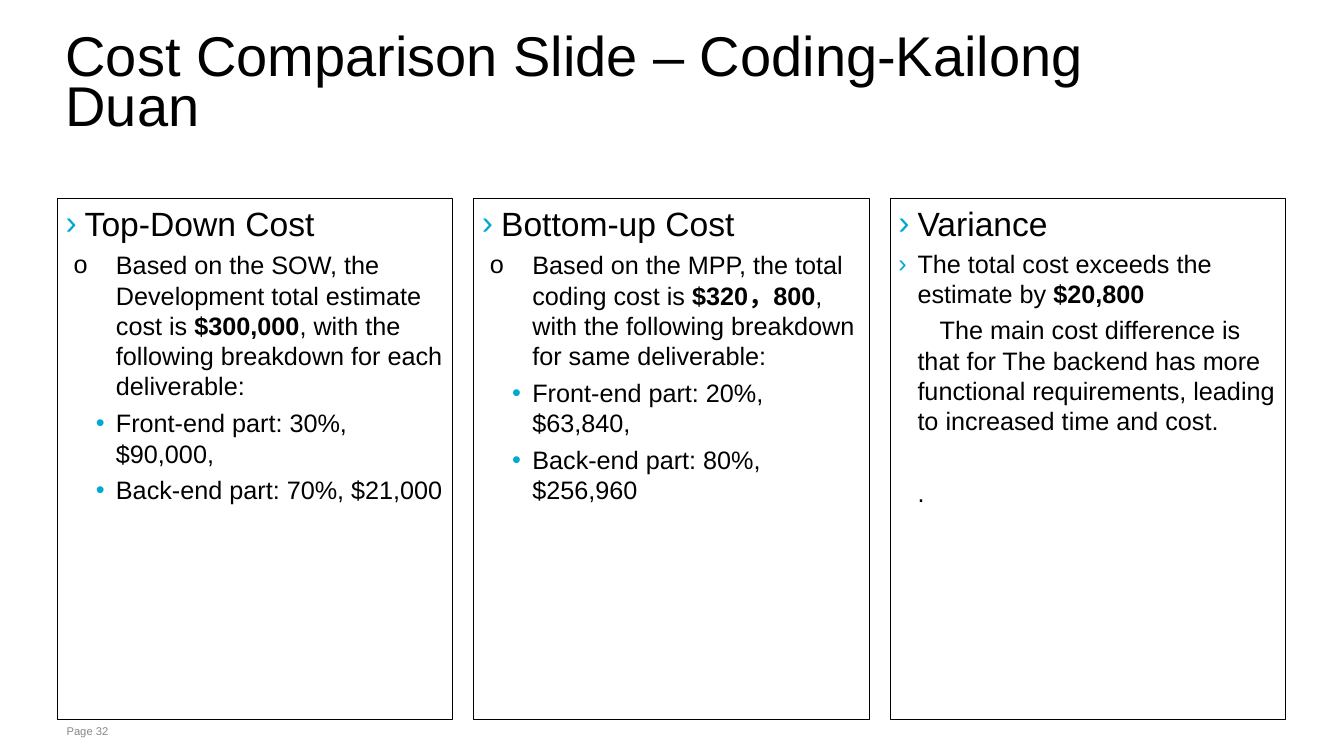
"""Build the cost comparison slide with three bordered columns."""
import pptx
import pptx.dml.color
import pptx.enum.text
import pptx.oxml.ns
import pptx.util
from lxml import etree

Inches = pptx.util.Inches
Pt = pptx.util.Pt

COLORS = {"text": "000000", "accent": "00A9D4", "page": "87888A"}
FONT = "Arial"
TITLE = "Cost Comparison Slide – Coding-Kailong Duan"
PAGE = "Page 32"

COLUMNS = [
    [
        ("heading", ["Top-Down Cost"]),
        ("summary", ["Based on the SOW, the Development total estimate cost is ", "$300,000",
                     ", with the following breakdown for each deliverable:"]),
        ("part", ["Front-end part: 30%, $90,000,"]),
        ("part", ["Back-end part: 70%, $21,000"]),
    ],
    [
        ("heading", ["Bottom-up Cost"]),
        ("summary", ["Based on the MPP, the total coding cost is", " $320，800",
                     ", with the following breakdown for same deliverable:"]),
        ("part", ["Front-end part: 20%, $63,840,"]),
        ("part", ["Back-end part: 80%, $256,960"]),
    ],
    [
        ("heading", ["Variance"]),
        ("point", ["The total cost exceeds the estimate by ", "$20,800"]),
        ("reason", ["The main cost difference is that for The backend has more functional "
                    "requirements, leading to increased time and cost."]),
        ("closing", ["."]),
    ],
]

STYLES = {
    "heading": {"level": 0, "size": 24, "margin": 0.19, "indent": -0.19, "bullet": "›",
                "bullet_color": "accent", "before": 0, "after": 0},
    "summary": {"level": 1, "size": 18, "margin": 0.58, "indent": -0.42, "bullet": "o",
                "bullet_color": "text", "before": 4.8, "after": 0},
    "part": {"level": 2, "size": 18, "margin": 0.58, "indent": -0.2, "bullet": "•",
             "bullet_color": "accent", "before": 4.8, "after": 0},
    "point": {"level": 0, "size": 18, "margin": 0.19, "indent": -0.19, "bullet": "›",
              "bullet_color": "accent", "before": 4, "after": 0},
    "reason": {"level": 0, "size": 18, "margin": 0.19, "indent": 0.22, "bullet": None,
               "before": 4, "after": 9},
    "closing": {"level": 0, "size": 18, "margin": 0.19, "indent": 0, "bullet": None,
                "before": 21, "after": 0},
}
STYLES["summary"]["margin"] = STYLES["part"]["margin"] = 0.5

COLUMN_LEFT, COLUMN_TOP, COLUMN_PITCH = 0.57, 1.97, 4.13
COLUMN_WIDTH, COLUMN_HEIGHT = 3.92, 5.17


def set_attributes(target, values):
    for name, value in values.items():
        setattr(target, name, value)


def place(shape, left, top, width, height):
    set_attributes(shape, {"left": Inches(left), "top": Inches(top),
                           "width": Inches(width), "height": Inches(height)})


def format_frame(frame, anchor, top=0, bottom=0):
    set_attributes(frame, {
        "word_wrap": True, "auto_size": pptx.enum.text.MSO_AUTO_SIZE.NONE,
        "vertical_anchor": anchor, "margin_left": Inches(0.08), "margin_right": Inches(0.08),
        "margin_top": Inches(top), "margin_bottom": Inches(bottom)})


def add_run(paragraph, text, size, color, bold=False):
    run = paragraph.add_run()
    run.text = text
    set_attributes(run.font, {"name": FONT, "size": Pt(size), "bold": bold})
    run.font.color.rgb = pptx.dml.color.RGBColor.from_string(COLORS[color])


def add_bullet(paragraph, style):
    properties = paragraph._p.get_or_add_pPr()
    properties.set("marL", str(Inches(style["margin"])))
    properties.set("indent", str(Inches(style["indent"])))
    qn = pptx.oxml.ns.qn
    if style["bullet"] is None:
        etree.SubElement(properties, qn("a:buNone"))
        return
    color = etree.SubElement(properties, qn("a:buClr"))
    etree.SubElement(color, qn("a:srgbClr"), val=COLORS[style["bullet_color"]])
    etree.SubElement(properties, qn("a:buFont"), typeface=FONT)
    etree.SubElement(properties, qn("a:buChar"), char=style["bullet"])


def fill_column(shape, content):
    format_frame(shape.text_frame, pptx.enum.text.MSO_ANCHOR.TOP, top=0.04)
    shape.line.color.rgb = pptx.dml.color.RGBColor.from_string(COLORS["text"])
    shape.line.width = Pt(0.75)
    for index, (kind, texts) in enumerate(content):
        style = STYLES[kind]
        frame = shape.text_frame
        paragraph = frame.add_paragraph() if index else frame.paragraphs[0]
        add_bullet(paragraph, style)
        set_attributes(paragraph, {
            "level": style["level"], "space_before": Pt(style["before"]),
            "space_after": Pt(style["after"]), "line_spacing": 1.0,
            "alignment": pptx.enum.text.PP_ALIGN.LEFT})
        for position, text in enumerate(texts):
            add_run(paragraph, text, style["size"], "text", bold=position == 1)


def main():
    presentation = pptx.Presentation()
    presentation.slide_width = Inches(13.33)
    presentation.slide_height = Inches(7.5)
    slide = presentation.slides.add_slide(presentation.slide_layouts.get_by_name("Comparison"))

    title = slide.shapes.title
    place(title, 0.57, 0.26, 10.93, 1.19)
    format_frame(title.text_frame, pptx.enum.text.MSO_ANCHOR.MIDDLE)
    heading = title.text_frame.paragraphs[0]
    set_attributes(heading, {"alignment": pptx.enum.text.PP_ALIGN.LEFT, "line_spacing": 0.75})
    add_run(heading, TITLE, 40, "text")

    bodies = [shape for shape in slide.placeholders if shape.placeholder_format.idx > 0]
    for index, (body, content) in enumerate(zip(bodies, COLUMNS)):
        place(body, COLUMN_LEFT + index * COLUMN_PITCH, COLUMN_TOP, COLUMN_WIDTH, COLUMN_HEIGHT)
        fill_column(body, content)
    for spare in bodies[len(COLUMNS):]:
        spare.element.getparent().remove(spare.element)

    page = slide.shapes.add_textbox(Inches(0.58), Inches(7.14), Inches(10.79), Inches(0.24))
    format_frame(page.text_frame, pptx.enum.text.MSO_ANCHOR.TOP, 0.05, 0.05)
    add_run(page.text_frame.paragraphs[0], PAGE, 8, "page")

    presentation.save("out.pptx")


if __name__ == "__main__":
    main()
